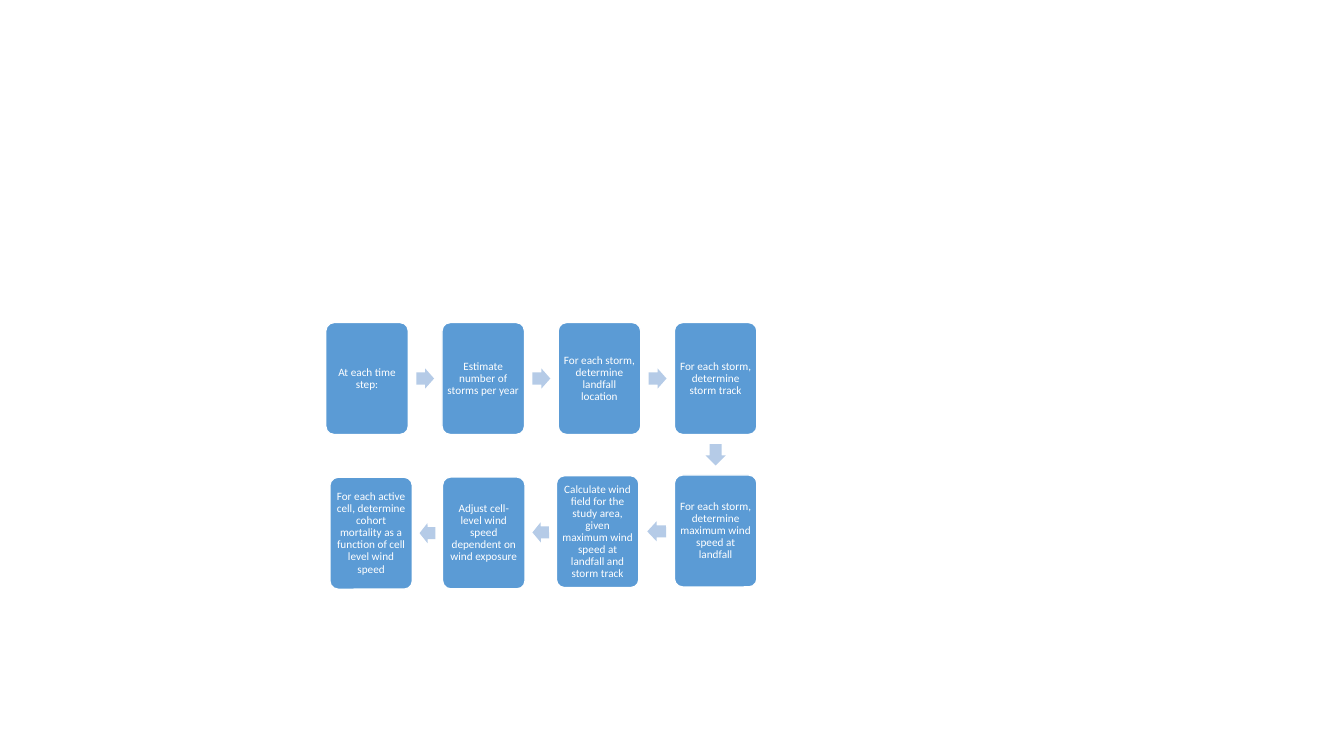
from math import atan2, degrees

from pptx import Presentation
from pptx.dml.color import RGBColor
from pptx.enum.shapes import MSO_SHAPE
from pptx.enum.text import MSO_ANCHOR, PP_ALIGN
from pptx.util import Pt

ROUNDED = MSO_SHAPE.ROUNDED_RECTANGLE
ARROW = MSO_SHAPE.RIGHT_ARROW
MIDDLE = MSO_ANCHOR.MIDDLE
CENTER = PP_ALIGN.CENTER

BLUE, PALE_BLUE, WHITE = "5B9BD5", "B5CBE7", "FFFFFF"
BOX_W, BOX_H = 59, 80
ARROW_H = 14.4
ARROW_SHARE = 0.53
ROW_LEFT, ROW_TOP, ROW_STEP = 232.7, 230.4, 83

TOP_STEPS = [
    "At each time step:",
    "Estimate number of storms per year",
    "For each storm, determine landfall location",
    "For each storm, determine storm track",
]
BOTTOM_STEPS = [
    (481.7, 339.3, "For each storm, determine maximum wind speed at landfall"),
    (397.4, 339.8, "Calculate wind field for the study area, given maximum "
                   "wind speed at landfall and storm track"),
    (316.1, 340.7, "Adjust cell-level wind speed dependent on wind exposure"),
    (235.6, 340.9, "For each active cell, determine cohort mortality as a "
                   "function of cell level wind speed"),
]


def color(value):
    return RGBColor.from_string(value)


def add_filled(slide, kind, x, y, w, h, fill):
    sp = slide.shapes.add_shape(kind, Pt(x), Pt(y), Pt(w), Pt(h))
    sp.shadow.inherit = False
    sp.fill.solid()
    sp.fill.fore_color.rgb = color(fill)
    sp.line.fill.background()
    return sp


def add_step(slide, x, y, text):
    sp = add_filled(slide, ROUNDED, x, y, BOX_W, BOX_H, BLUE)
    sp.adjustments[0] = 0.1
    sp.line.color.rgb = color(WHITE)
    sp.line.width = Pt(1)
    tf = sp.text_frame
    tf.word_wrap = True
    tf.vertical_anchor = MIDDLE
    tf.margin_left = tf.margin_right = Pt(2.2)
    tf.margin_top = tf.margin_bottom = Pt(2.2)
    p = tf.paragraphs[0]
    p.alignment = CENTER
    p.line_spacing = 0.9
    p.space_after = Pt(2.8)
    r = p.add_run()
    r.text = text
    r.font.name = "Calibri"
    r.font.size = Pt(8)
    r.font.color.rgb = color(WHITE)


def add_arrow(slide, start, end):
    dx, dy = end[0] - start[0], end[1] - start[1]
    gap = max(abs(dx) - BOX_W, abs(dy) - BOX_H)
    length = ARROW_SHARE * gap
    x = (start[0] + end[0] + BOX_W - length) / 2
    y = (start[1] + end[1] + BOX_H - ARROW_H) / 2
    sp = add_filled(slide, ARROW, x, y, length, ARROW_H, PALE_BLUE)
    sp.adjustments[0] = 0.6
    sp.adjustments[1] = 0.5
    sp.rotation = degrees(atan2(dy, dx))


def main():
    prs = Presentation()
    prs.slide_width, prs.slide_height = Pt(960), Pt(540)
    slide = prs.slides.add_slide(prs.slide_layouts[6])
    steps = [(ROW_LEFT + i * ROW_STEP, ROW_TOP, text)
             for i, text in enumerate(TOP_STEPS)] + BOTTOM_STEPS
    for step in steps:
        add_step(slide, *step)
    for start, end in zip(steps, steps[1:]):
        add_arrow(slide, start, end)
    prs.save("out.pptx")


main()
